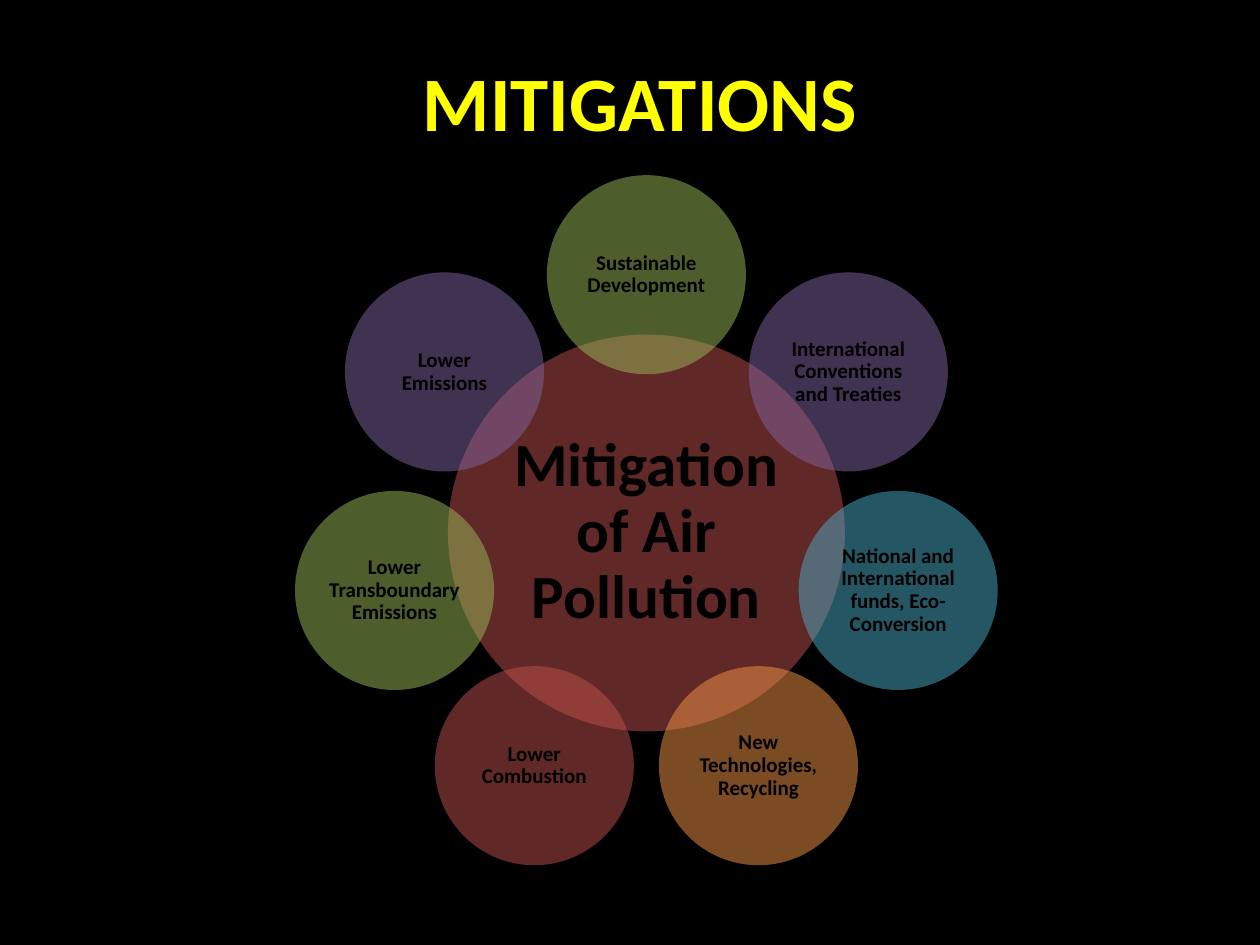
"""Build the air pollution mitigation slide: a hub circle ringed by seven bubbles."""
from math import cos, pi, sin
from typing import NamedTuple

from lxml import etree
from pptx import Presentation
from pptx.dml.color import RGBColor
from pptx.enum.shapes import MSO_SHAPE as Shape
from pptx.enum.text import MSO_ANCHOR as Anchor, PP_ALIGN as Align
from pptx.oxml.ns import qn
from pptx.util import Inches, Pt

CENTER_X, CENTER_Y = 5.13, 4.23
HUB_SIZE, BUBBLE_SIZE, RING_RADIUS = 3.15, 1.58, 2.05
RED, GREEN, PURPLE = "C0504D", "9BBB59", "8064A2"
TEAL, ORANGE = "4BACC6", "F79646"


class Bubble(NamedTuple):
    text: str
    color: str


BUBBLES = [
    Bubble("Sustainable Development", GREEN),
    Bubble("International Conventions and Treaties", PURPLE),
    Bubble("National and International funds, Eco-Conversion", TEAL),
    Bubble("New Technologies, Recycling", ORANGE),
    Bubble("Lower Combustion", RED),
    Bubble("Lower Transboundary Emissions", GREEN),
    Bubble("Lower Emissions", PURPLE),
]


def set_fill(fill, color: str, alpha: int = 100) -> None:
    fill.solid()
    fill.fore_color.rgb = RGBColor.from_string(color)
    if alpha < 100:
        clr = fill._xPr.find(f".//{qn('a:srgbClr')}")
        etree.SubElement(clr, qn("a:alpha"), val=str(alpha * 1000))


def write_text(sp, text: str, *, size: float, color: str = "000000",
               spacing: float = 1.0, inset: float = 0.1) -> None:
    tf = sp.text_frame
    tf.word_wrap = True
    tf.vertical_anchor = Anchor.MIDDLE
    tf.margin_left = tf.margin_right = Inches(inset)
    tf.margin_top = tf.margin_bottom = Inches(min(inset, 0.05))
    p = tf.paragraphs[0]
    p.alignment = Align.CENTER
    p.line_spacing = spacing
    r = p.add_run()
    r.text = text
    r.font.name = "Calibri"
    r.font.size = Pt(size)
    r.font.bold = True
    set_fill(r.font.fill, color)


def add_circle(s, bubble: Bubble, x: float, y: float, diameter: float, *,
               size: float, inset: float) -> None:
    sp = s.shapes.add_shape(Shape.OVAL, Inches(x - diameter / 2), Inches(y - diameter / 2),
                            Inches(diameter), Inches(diameter))
    sp.shadow.inherit = False
    sp.line.fill.background()
    set_fill(sp.fill, bubble.color, alpha=50)
    write_text(sp, bubble.text, size=size, spacing=0.9, inset=inset)


def main() -> None:
    prs = Presentation()
    prs.slide_width, prs.slide_height = Inches(10), Inches(7.5)
    s = prs.slides.add_slide(prs.slide_layouts[6])
    set_fill(s.background.fill, "000000")

    title = s.shapes.add_textbox(Inches(0.58), Inches(0.17), Inches(9), Inches(1.25))
    write_text(title, "MITIGATIONS", size=44, color="FFFF00")

    add_circle(s, Bubble("Mitigation of Air Pollution", RED), CENTER_X, CENTER_Y, HUB_SIZE,
               size=35, inset=0.05)
    for i, bubble in enumerate(BUBBLES):
        angle = 2 * pi * i / len(BUBBLES)
        add_circle(s, bubble, CENTER_X + RING_RADIUS * sin(angle),
                   CENTER_Y - RING_RADIUS * cos(angle), BUBBLE_SIZE, size=12, inset=0.02)

    prs.save("out.pptx")


if __name__ == "__main__":
    main()
